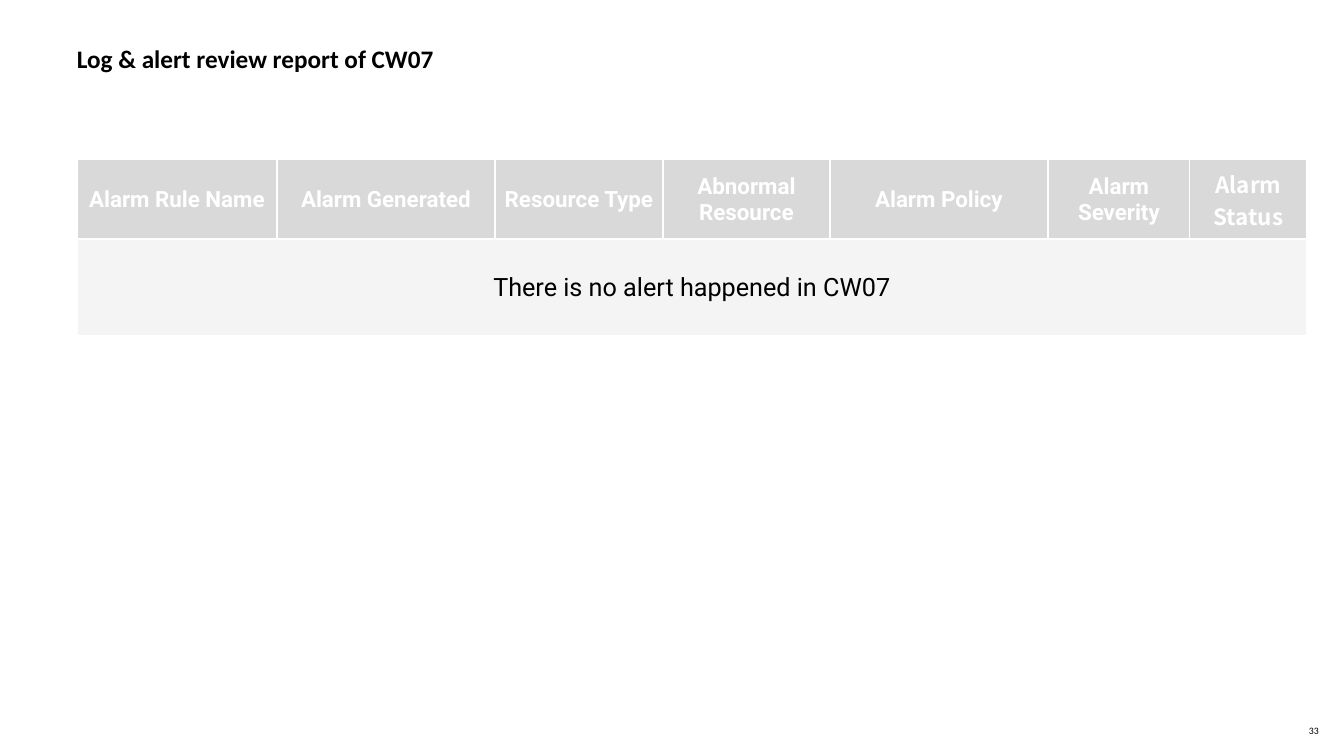
from dataclasses import dataclass

from lxml import etree
from pptx import Presentation
from pptx.dml.color import RGBColor
from pptx.enum.text import MSO_ANCHOR, PP_ALIGN
from pptx.oxml.ns import qn
from pptx.util import Emu, Pt

CENTER = PP_ALIGN.CENTER
MIDDLE = MSO_ANCHOR.MIDDLE
TOP = MSO_ANCHOR.TOP
EMU_PER_PX = 914400 / 100.8


@dataclass(frozen=True)
class Theme:
    """Colours, fonts and type sizes of the report."""
    ink: str = "000000"
    white: str = "FFFFFF"
    header_fill: str = "D9D9D9"
    message_fill: str = "F4F4F4"
    title_font: str = "Calibri"
    table_font: str = "Roboto"
    status_font: str = "Noto Sans CJK SC"
    title_size: int = 18
    header_size: int = 16
    message_size: int = 18
    page_size: int = 7
    border_width: int = 1


THEME = Theme()
COLUMNS = [
    ("Alarm Rule Name", 200, THEME.table_font),
    ("Alarm Generated", 218, THEME.table_font),
    ("Resource Type", 168, THEME.table_font),
    ("Abnormal Resource", 167, THEME.table_font),
    ("Alarm Policy", 218, THEME.table_font),
    ("Alarm Severity", 142, THEME.table_font),
    ("Alarm Status", 117, THEME.status_font),
]
ROW_HEIGHTS = (80, 97)


def px(length):
    """Turn pixels into EMU."""
    return Emu(round(length * EMU_PER_PX))


def style_paragraph(paragraph, text, font_name, size, color, bold=False):
    """Write text into a paragraph and set its font."""
    paragraph.text = text
    font = paragraph.font
    font.name = font_name
    font.size = Pt(size)
    font.bold = bold
    font.color.rgb = RGBColor.from_string(color)


def add_label(slide, box, text, size, bold=False, anchor=TOP, spacing=1.0):
    """Place a line of text without insets in a box."""
    frame = slide.shapes.add_textbox(*map(px, box)).text_frame
    frame.word_wrap = True
    frame.vertical_anchor = anchor
    frame.margin_left = frame.margin_right = 0
    frame.margin_top = frame.margin_bottom = 0
    paragraph = frame.paragraphs[0]
    paragraph.line_spacing = spacing
    style_paragraph(paragraph, text, THEME.title_font, size, THEME.ink, bold)


def add_borders(cell):
    """Draw white lines on all four sides of a cell."""
    properties = cell._tc.get_or_add_tcPr()
    for position, side in enumerate(("lnL", "lnR", "lnT", "lnB")):
        line = etree.Element(qn(f"a:{side}"), w=str(Pt(THEME.border_width)))
        fill = etree.SubElement(line, qn("a:solidFill"))
        etree.SubElement(fill, qn("a:srgbClr"), val=THEME.white)
        properties.insert(position, line)


def style_cell(cell, fill):
    """Set the fill, borders, insets and alignment of a cell."""
    cell.fill.solid()
    cell.fill.fore_color.rgb = RGBColor.from_string(fill)
    cell.margin_left = cell.margin_right = cell.margin_top = px(1)
    cell.margin_bottom = 0
    cell.vertical_anchor = MIDDLE
    cell.text_frame.paragraphs[0].alignment = CENTER
    add_borders(cell)


def add_alert_table(slide, left, top):
    """Place the alarm headings above one merged message row."""
    width = sum(column_width for _, column_width, _ in COLUMNS)
    table = slide.shapes.add_table(
        len(ROW_HEIGHTS), len(COLUMNS),
        px(left), px(top), px(width), px(sum(ROW_HEIGHTS)),
    ).table
    table.horz_banding = False
    for row, height in zip(table.rows, ROW_HEIGHTS):
        row.height = px(height)
    for index, (heading, column_width, font_name) in enumerate(COLUMNS):
        table.columns[index].width = px(column_width)
        header = table.cell(0, index)
        style_cell(header, THEME.header_fill)
        style_paragraph(header.text_frame.paragraphs[0], heading, font_name,
                        THEME.header_size, THEME.white, True)
        style_cell(table.cell(1, index), THEME.message_fill)
    message = table.cell(1, 0)
    message.merge(table.cell(1, len(COLUMNS) - 1))
    style_paragraph(message.text_frame.paragraphs[0],
                    "There is no alert happened in CW07",
                    THEME.table_font, THEME.message_size, THEME.ink)


def build_report_slide(presentation):
    """Build the weekly log and alert review slide."""
    slide = presentation.slides.add_slide(presentation.slide_layouts[6])
    add_label(slide, (1309, 722, 35, 17), "33", THEME.page_size, anchor=MIDDLE)
    add_label(slide, (77, 40, 1250, 68), "Log & alert review report of CW07",
              THEME.title_size, bold=True, spacing=1.1)
    add_alert_table(slide, 77, 159)


def main():
    """Create and save the presentation."""
    presentation = Presentation()
    presentation.slide_width = px(1344)
    presentation.slide_height = px(756)
    build_report_slide(presentation)
    presentation.save("out.pptx")


if __name__ == "__main__":
    main()
